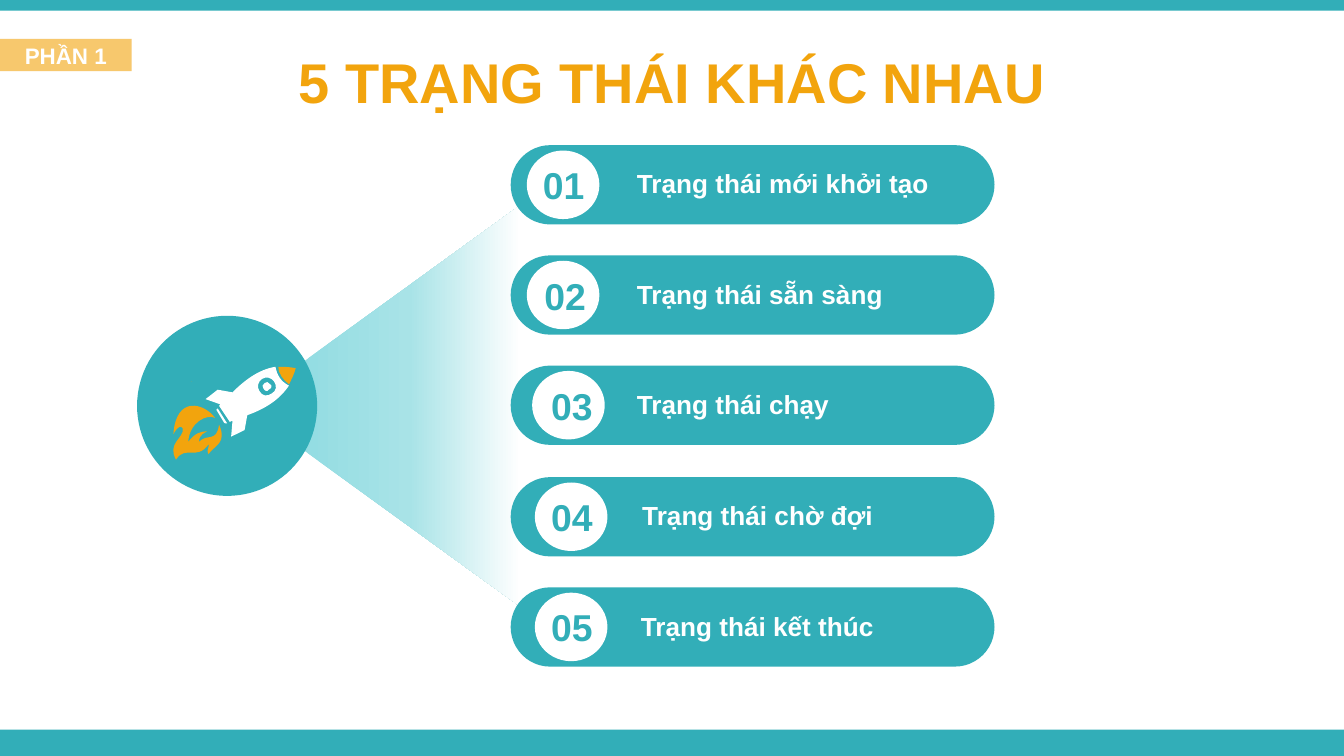
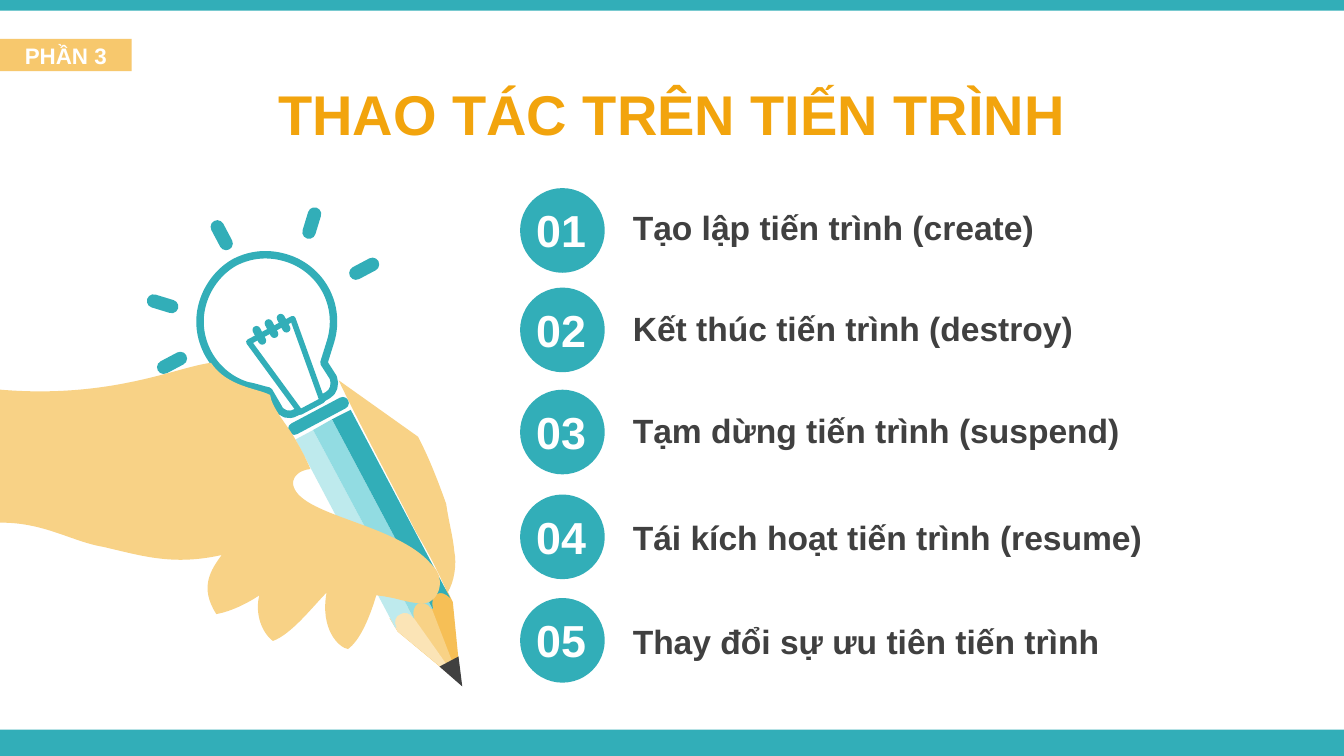
from copy import deepcopy
from math import cos, radians, sin

from lxml.etree import SubElement as Sub
from pptx import Presentation
from pptx.dml.color import RGBColor as Rgb
from pptx.enum.shapes import MSO_SHAPE as Kind
from pptx.enum.text import MSO_ANCHOR as Anchor
from pptx.enum.text import MSO_AUTO_SIZE as Fit
from pptx.enum.text import PP_ALIGN as Align
from pptx.oxml.ns import qn
from pptx.util import Emu, Pt

# Shared look: 100 px to the inch
PX = 9144
FONT = "Arial"
TEAL, AQUA, MIST, PALE = "32AEB8", "92DCE2", "A8E3E7", "BEEAED"
GOLD, AMBER, SAND, CREAM = "F2A40D", "F6BF56", "F8D286", "FBE4B6"
WHITE, DARK = "FFFFFF", "404040"

# Slide 1: label, badge left, number left, label left
STATES = [
    ("Trạng thái mới khởi tạo", 392, 388, 464),
    ("Trạng thái sẵn sàng", 392, 389, 464),
    ("Trạng thái chạy", 396, 394, 464),
    ("Trạng thái chờ đợi", 398, 394, 468),
    ("Trạng thái kết thúc", 398, 394, 467),
]

# Slide 2: label, badge top, label top
TASKS = [
    ("Tạo lập tiến trình (create)", 140, 149),
    ("Kết thúc tiến trình (destroy)", 214, 224),
    ("Tạm dừng tiến trình (suspend)", 290, 300),
    ("Tái kích hoạt tiến trình (resume)", 368, 380),
    ("Thay đổi sự ưu tiên tiến trình", 445, 457),
]

# Outlines in px: M start, L line, C curve
ROCKET = [
    ("M 162 304 L 169 315 C 169 315 168 315 167 315 L 161 305 "
     "M 201 286 C 203 287 202 289 200 290 C 199 292 197 291 196 289 "
     "C 195 288 195 286 197 285 C 198 284 200 284 201 286 "
     "M 204 284 C 202 281 198 280 195 282 C 192 284 191 288 193 291 "
     "C 195 295 199 295 202 293 C 206 291 206 287 204 284 "
     "M 205 273 C 206 279 209 284 215 287 C 207 299 195 305 184 309 "
     "L 182 320 L 172 325 L 173 313 L 171 314 L 163 302 "
     "C 164 302 164 302 164 301 L 153 297 L 162 290 L 173 292 "
     "C 181 284 192 275 205 273", WHITE),
    ("M 220 274 C 219 278 217 282 215 286 C 211 283 207 278 207 273 "
     "C 211 273 215 273 220 274", GOLD),
    ("M 160 311 C 154 308 141 314 140 329 C 145 322 150 321 154 321 "
     "C 153 322 148 323 148 329 C 154 322 161 330 163 316 "
     "C 169 330 160 331 155 338 C 153 336 157 329 155 331 "
     "C 146 343 138 331 131 342 C 124 330 137 326 136 319 "
     "C 135 317 133 316 129 323 C 131 294 152 300 160 311 "
     "M 142 284 L 143 284 L 142 284", GOLD),
]
PENCIL = [
    ("M 290 460 L 332 438 L 337 448 L 343 509 L 296 470", AMBER),
    ("M 304 452 L 318 445 L 321 452 L 343 509 L 309 462", SAND),
    ("M 290 460 L 304 453 C 305 455 307 457 308 460 L 342 508 L 296 470",
     CREAM),
    ("M 220 327 L 233 320 L 308 460 C 305 456 301 455 298 457 "
     "C 294 458 293 463 295 467 L 294 467", PALE),
    ("M 233 320 L 247 312 L 322 453 L 321 453 C 319 449 314 448 311 449 "
     "C 308 451 307 455 308 460", AQUA),
    ("M 247 312 L 261 305 L 335 445 C 332 442 328 440 325 442 "
     "C 322 444 321 448 322 452 L 322 453", TEAL),
]
BULB = (
    "M 175 195 C 187 189 200 188 213 192 C 239 200 254 227 246 254 "
    "L 241 270 L 248 281 C 250 286 248 292 244 294 L 232 301 L 220 307 "
    "C 215 310 209 308 207 303 L 200 291 C 195 290 190 288 184 287 "
    "C 158 279 143 251 151 225 C 155 212 164 201 175 195")
HAND = (
    "M 252 283 L 311 325 C 320 342 327 361 332 375 C 334 389 337 399 338 410 "
    "C 340 420 338 433 333 441 C 329 433 324 420 309 395 "
    "C 296 368 266 313 252 283 "
    "M 157 270 C 169 288 192 289 201 294 C 202 303 214 317 218 324 "
    "C 224 334 227 340 231 349 C 223 350 218 354 218 360 "
    "C 221 384 295 389 321 420 C 333 431 326 448 316 449 "
    "C 302 449 298 445 280 443 C 274 463 267 477 259 483 "
    "C 252 482 238 468 243 441 C 233 451 217 472 203 477 "
    "C 193 469 190 454 193 443 C 184 449 172 455 161 457 "
    "C 148 437 157 424 165 413 C 129 421 107 414 77 407 "
    "C 53 403 32 388 -2 389 L 0 290 C 83 297 132 273 157 270")

# Round bars of the lamp: left, top, width, height, turn
BARS = [
    (227, 154, 10, 24, 17), (116, 214, 10, 24, 287), (160, 163, 10, 24, 332),
    (266, 188, 10, 24, 62), (123, 258, 10, 24, 242), (212, 305, 50, 9, 332),
    (190, 242, 6, 15, 332), (199, 237, 6, 15, 332), (208, 233, 6, 15, 332),
]


def px(num):
    return Emu(round(num * PX))


def ink(code):
    return Rgb.from_string(code)


def paint(shape, fill, line=None, width=0):
    shape.shadow.inherit = False
    shape.fill.solid()
    shape.fill.fore_color.rgb = ink(fill)
    if line:
        shape.line.color.rgb = ink(line)
        shape.line.width = Pt(width)
    else:
        shape.line.fill.background()
    return shape


def block(slide, kind, box, fill, turn=0, line=None, width=0):
    shape = slide.shapes.add_shape(kind, *map(px, box))
    shape.rotation = turn
    return paint(shape, fill, line, width)


def pill(slide, box, fill, turn=0):
    shape = block(slide, Kind.ROUNDED_RECTANGLE, box, fill, turn)
    shape.adjustments[0] = 0.5


def write(frame, text, size, color, align=Align.LEFT):
    frame.word_wrap = True
    para = frame.paragraphs[0]
    para.alignment = align
    run = para.add_run()
    run.text = text
    font = run.font
    font.name, font.size, font.bold = FONT, Pt(size), True
    font.color.rgb = ink(color)


def label(slide, box, text, size, color, align=Align.LEFT):
    frame = slide.shapes.add_textbox(*map(px, box)).text_frame
    write(frame, text, size, color, align)
    frame.auto_size = Fit.SHAPE_TO_FIT_TEXT


def spin(x, y, turn):
    """Rotate a point clockwise about the slide's corner."""
    c, s = cos(radians(turn)), sin(radians(turn))
    return x * c - y * s, x * s + y * c


def trace(path, turn):
    """Turn a path into its signs and loops of points."""
    signs, loops = [], []
    words = iter(path.split())
    for sign in words:
        signs.append(sign)
        if sign == "M":
            loops.append([])
        for _ in range(3 if sign == "C" else 1):
            x, y = int(next(words)), int(next(words))
            loops[-1].append(tuple(map(px, spin(x, y, -turn))))
    return signs, loops


def bend(shape, signs):
    """Join each three points of a curve into one cubic segment."""
    track = shape._element.find(".//" + qn("a:path"))
    parts = iter([p for p in track if p.tag != qn("a:close")])
    for sign in signs:
        part = next(parts)
        if sign == "C":
            part.tag = qn("a:cubicBezTo")
            for _ in range(2):
                extra = next(parts)
                part.append(extra[0])
                track.remove(extra)


def draw(slide, path, fill, turn=0, line=None, width=0):
    signs, loops = trace(path, turn)
    pen = slide.shapes.build_freeform(*loops[0][0])
    for i, loop in enumerate(loops):
        if i:
            pen.move_to(*loop[0])
        pen.add_line_segments(loop[1:], close=True)
    shape = paint(pen.convert_to_shape(), fill, line, width)
    bend(shape, signs)
    # Turn the upright outline back about its own centre
    half, tall = shape.width / 2, shape.height / 2
    x, y = spin(shape.left + half, shape.top + tall, turn)
    shape.left, shape.top = Emu(round(x - half)), Emu(round(y - tall))
    shape.rotation = turn


def start(deck, title, top, part):
    """New slide with bands, title and part tag."""
    slide = deck.slides.add_slide(deck.slide_layouts[5])
    block(slide, Kind.RECTANGLE, (0, 543, 1000, 20), TEAL)
    block(slide, Kind.RECTANGLE, (0, 0, 1000, 8), TEAL)

    head = slide.shapes.title
    head.left, head.top, head.width, head.height = map(px, (0, top, 1000, 63))
    frame = head.text_frame
    frame.auto_size = Fit.NONE
    frame.vertical_anchor = Anchor.MIDDLE
    write(frame, title, 30, GOLD, Align.CENTER)

    tag = block(slide, Kind.RECTANGLE, (0, 29, 98, 24), GOLD)
    tone = tag._element.spPr.find(qn("a:solidFill"))[0]
    Sub(tone, qn("a:alpha"), val="60000")
    tag.text_frame.vertical_anchor = Anchor.MIDDLE
    write(tag.text_frame, part, 12, WHITE, Align.CENTER)
    return slide


def beam(slide):
    """Fan of light that fades to the right."""
    shape = block(slide, Kind.TRAPEZOID, (155, 219, 299, 166), AQUA, 270)
    shape.adjustments[0] = 0.722
    shape.fill.gradient()
    shape.fill.gradient_angle = 270
    stops = shape._element.spPr.find(".//" + qn("a:gsLst"))
    stops.insert(1, deepcopy(stops[0]))
    shades = ((0, AQUA), (0.5, MIST), (1, WHITE))
    for stop, (place, code) in zip(shape.fill.gradient_stops, shades):
        stop.position = place
        stop.color.rgb = ink(code)


def states(deck):
    slide = start(deck, "5 TRẠNG THÁI KHÁC NHAU", 29, "PHẦN 1")
    beam(slide)
    block(slide, Kind.OVAL, (102, 235, 134, 134), TEAL)
    for path, fill in ROCKET:
        draw(slide, path, fill, 56.9)
    for i, (text, disc, num, left) in enumerate(STATES):
        top = round(108 + 82.2 * i)
        pill(slide, (380, top, 360, 59), TEAL)
        block(slide, Kind.OVAL, (disc, top + 4, 54, 51), WHITE)
        label(slide, (num, top + 8, 63, 44), f"{i + 1:02}", 20, TEAL,
              Align.CENTER)
        label(slide, (left, top + 12, 753 - left, 34), text, 14, WHITE)


def lamp(slide):
    """Hand that holds a pencil with a bulb on top."""
    for path, fill in PENCIL:
        draw(slide, path, fill, 332)
    block(slide, Kind.ISOSCELES_TRIANGLE, (331, 491, 16, 21), DARK, 152)
    draw(slide, BULB, WHITE, 107, TEAL, 4)
    block(slide, Kind.TRAPEZOID, (198, 242, 37, 64), WHITE, 152, TEAL, 3)
    for *box, turn in BARS:
        pill(slide, box, TEAL, turn)
    draw(slide, HAND, SAND)


def tasks(deck):
    slide = start(deck, "THAO TÁC TRÊN TIẾN TRÌNH", 53, "PHẦN 3")
    lamp(slide)
    for i, (text, top, line) in enumerate(TASKS, 1):
        block(slide, Kind.OVAL, (387, top, 63, 63), TEAL)
        label(slide, (383, top + 6, 70, 50), f"{i:02}", 24, WHITE,
              Align.CENTER)
        label(slide, (461, line, 402, 40), text, 18, DARK)


def main():
    deck = Presentation()
    deck.slide_width, deck.slide_height = px(1000), px(562.5)
    states(deck)
    tasks(deck)
    deck.save("out.pptx")


if __name__ == "__main__":
    main()
